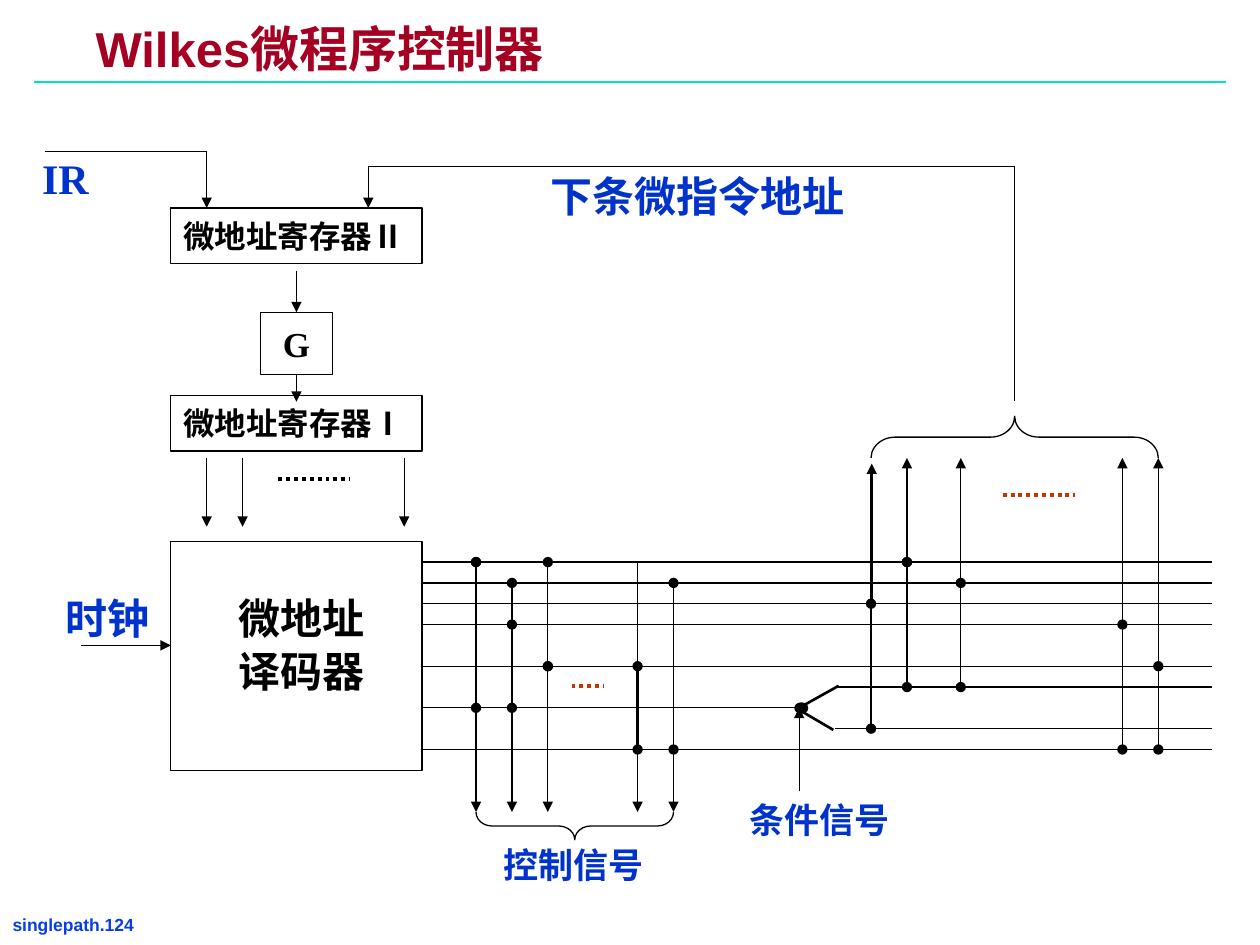
from lxml import etree
from pptx import Presentation
from pptx.dml.color import RGBColor
from pptx.enum.dml import MSO_LINE
from pptx.enum.shapes import MSO_CONNECTOR, MSO_SHAPE
from pptx.enum.text import MSO_ANCHOR, PP_ALIGN
from pptx.oxml.ns import qn
from pptx.util import Pt

BLACK = RGBColor(0, 0, 0)
WHITE = RGBColor(255, 255, 255)
BLUE = RGBColor(0x00, 0x33, 0xCC)
FOOTER_BLUE = RGBColor(0x06, 0x3D, 0xE8)
CRIMSON = RGBColor(0xA5, 0x00, 0x21)
TEAL = RGBColor(0x00, 0xDF, 0xCA)
ORANGE = RGBColor(0xCC, 0x33, 0x00)
LEFT, CENTER = PP_ALIGN.LEFT, PP_ALIGN.CENTER
MIDDLE = MSO_ANCHOR.MIDDLE
STRAIGHT = MSO_CONNECTOR.STRAIGHT
DOTTED = MSO_LINE.ROUND_DOT
RECTANGLE, OVAL = MSO_SHAPE.RECTANGLE, MSO_SHAPE.OVAL
LEFT_BRACE, RIGHT_BRACE = MSO_SHAPE.LEFT_BRACE, MSO_SHAPE.RIGHT_BRACE
SERIF, SANS, CHINESE = "Times New Roman", "Arial", "Noto Sans CJK SC"

# The diagram sits on a grid: column 0 is the left side of the registers,
# row 0 is the first output line of the decoder.
COLUMN_0, COLUMN_STEP = 97.6, 20.52
ROW_0, ROW_STEP = 321.2, 11.9

# left, top, right, bottom in grid units
REGISTER_II = (0, -17, 7, -14.33)
REGISTER_I = (0, -8, 7, -5.33)
GATE = (2.5, -12, 4.5, -9)
DECODER = (0, -1, 7, 10)

# Wires: start column, start row, end column, end row
PLAIN_WIRES = [
    (-3.5, -19.7, 1, -19.7),
    (5.5, -19, 23.5, -19), (23.5, -19, 23.5, -7.75),
    *[(7, row, 29, row) for row in (0, 1, 2, 3, 5, 9)],
    (7, 7, 17.5, 7), (18.5, 6, 29, 6), (18.5, 8, 29, 8),
]
ARROWS = [
    (1, -19.7, 1, -17), (5.5, -19, 5.5, -17), (-2.5, 4, 0, 4),
    *[(column, -5, column, -1.7) for column in (1, 2, 6.5)],
    (13, 0, 13, 12), (14, 3, 14, 12),
    (22, 4.2, 22, -5), (26.5, 4.2, 26.5, -5), (27.5, 5, 27.5, -5),
    (17.5, 11, 17.5, 7),
]
DOT_ARROWS = [(8.5, 0, 8.5, 12), (9.5, 1, 9.5, 12), (10.5, 5, 10.5, 12),
              (20.5, 0, 20.5, -5)]
DOT_LINKS = [
    (8.5, 0, 8.5, 7), (9.5, 3, 9.5, 7), (10.5, 0, 10.5, 5), (14, 1, 14, 9),
    (19.5, 2, 19.5, 8), (20.5, 0, 20.5, 6), (22, 1, 22, 6),
    (26.5, 3, 26.5, 9), (27.5, 5, 27.5, 9),
]
BRANCHES = [(17.5, 7, 18.6, 5.94), (17.5, 7.1, 18.45, 8.06)]
ELLIPSES = [(3, -4, 5, -4, BLACK), (11.16, 5.94, 12.04, 5.94, ORANGE),
            (23.17, -3.21, 25.17, -3.21, ORANGE)]
# Braces: shape, first column, last column, middle row, depth in points
BRACES = [(LEFT_BRACE, 8.5, 14, 12.67, 15.8),
          (RIGHT_BRACE, 19.5, 27.5, -6, 23.8)]
# Labels: text, left, top, width, height in points, size
LABELS = [
    ("IR", 1.4, 83.5, 72, 36, 24),
    ("时钟", 23.8, 334.8, 75.6, 36, 24),
    ("条件信号", 411.8, 452.2, 113, 31.7, 20),
    ("控制信号", 271.4, 478.1, 113, 31.7, 20),
    ("下条微指令地址", 291.6, 93.6, 213.8, 36, 24),
]

deck = Presentation()
deck.slide_width, deck.slide_height = Pt(720), Pt(540)
page = deck.slides.add_slide(deck.slide_layouts[5])
shapes = page.shapes


def grid(column, row):
    return COLUMN_0 + column * COLUMN_STEP, ROW_0 + row * ROW_STEP


def write(box, lines, size, font=SERIF, color=BLACK, align=CENTER, margins=(7.2, 3.6)):
    frame = box.text_frame
    frame.word_wrap = True
    frame.vertical_anchor = MIDDLE
    frame.margin_left = frame.margin_right = Pt(margins[0])
    frame.margin_top = frame.margin_bottom = Pt(margins[1])
    frame.text = "\n".join(lines)
    for paragraph in frame.paragraphs:
        paragraph.alignment = align
        style = paragraph.font
        style.size, style.bold, style.name = Pt(size), True, font
        style.color.rgb = color
        defaults = paragraph._p.pPr.find(qn("a:defRPr"))
        etree.SubElement(defaults, qn("a:ea"), typeface=CHINESE)
    return frame


def draw_line(x1, y1, x2, y2, color=BLACK, width=0.75, head=None, tail=None, dash=None):
    line = shapes.add_connector(STRAIGHT, Pt(x1), Pt(y1), Pt(x2), Pt(y2))
    line.line.color.rgb = color
    line.line.width = Pt(width)
    if dash:
        line.line.dash_style = dash
    outline = line.line._get_or_add_ln()
    for tag, kind in (("a:headEnd", head), ("a:tailEnd", tail)):
        if kind:
            etree.SubElement(outline, qn(tag), type=kind)
    etree.SubElement(line._element.spPr, qn("a:effectLst"))
    return line


def draw_wire(wire, **style):
    """Draw a line between two grid points."""
    return draw_line(*grid(*wire[:2]), *grid(*wire[2:]), **style)


def draw_shape(kind, left, top, width, height, fill=None, weight=0.75):
    shape = shapes.add_shape(kind, Pt(left), Pt(top), Pt(width), Pt(height))
    shape.shadow.inherit = False
    if fill is None:
        shape.fill.background()
    else:
        shape.fill.solid()
        shape.fill.fore_color.rgb = fill
    shape.line.color.rgb = BLACK
    shape.line.width = Pt(weight)
    return shape


def draw_block(bounds):
    """Draw a white rectangle between two grid points."""
    left, top = grid(*bounds[:2])
    right, bottom = grid(*bounds[2:])
    return draw_shape(RECTANGLE, left, top, right - left, bottom - top, WHITE)


def add_label(text, left, top, width, height, size, **style):
    box = shapes.add_textbox(Pt(left), Pt(top), Pt(width), Pt(height))
    return write(box, [text], size, **style)


# Page frame
add_label("singlepath.124", 2.2, 520.6, 110.9, 15.8, 10, font=SANS,
          color=FOOTER_BLUE, align=LEFT, margins=(5, 2.2))
draw_line(19.4, 46.8, 700.6, 46.8, color=TEAL, width=1.5)
title = shapes.title
title.left, title.top, title.width, title.height = Pt(49.7), Pt(13), Pt(491.8), Pt(33.1)
title_frame = write(title, ["Wilkes微程序控制器"], 28, font=SANS, color=CRIMSON,
                    align=LEFT, margins=(5, 2.2))
title_frame.paragraphs[0].line_spacing = 0.87

# Blocks
for bounds, numeral in ((REGISTER_II, "Ⅱ"), (REGISTER_I, "Ⅰ")):
    register_frame = write(draw_block(bounds), ["微地址寄存器"], 18, align=LEFT)
    span = register_frame.paragraphs[0].add_run()
    span.text = numeral
    span.font.name = CHINESE
gate = draw_block(GATE)
write(gate, ["G"], 20)
decoder_frame = write(draw_block(DECODER), ["微地址", "译码器"], 24)
decoder_frame.margin_left, decoder_frame.margin_bottom = Pt(13.2), Pt(18)
for paragraph in decoder_frame.paragraphs:
    paragraph.line_spacing = Pt(30)

# Wires
draw_wire((3.5, -14, 3.5, -12), tail="triangle").end_connect(gate, 0)
draw_wire((3.5, -9, 3.5, -7.7), tail="triangle").begin_connect(gate, 2)
for wires, head, tail in ((PLAIN_WIRES, None, None), (ARROWS, None, "triangle"),
                          (DOT_ARROWS, "oval", "triangle"), (DOT_LINKS, "oval", "oval")):
    for wire in wires:
        draw_wire(wire, head=head, tail=tail)
draw_wire((13, 5, 13, 9), width=1.5, head="oval", tail="oval")
draw_wire((19.52, 2, 19.52, -4.73), width=1.5, tail="triangle")
for branch in BRANCHES:
    draw_wire(branch, width=1.5)
draw_shape(OVAL, 455, 402.5, 5.8, 4.3, BLACK, 2.25)
for *wire, color in ELLIPSES:
    draw_wire(wire, color=color, width=2.25, dash=DOTTED)

# Braces stand upright before they are turned
for kind, first, last, row, depth in BRACES:
    center_x, center_y = grid((first + last) / 2, row)
    span_width = (last - first) * COLUMN_STEP
    brace = draw_shape(kind, center_x - depth / 2, center_y - span_width / 2,
                       depth, span_width)
    brace.rotation = 270
    brace.adjustments[0] = 0.58

for label in LABELS:
    add_label(*label, color=BLUE)

deck.save("out.pptx")
